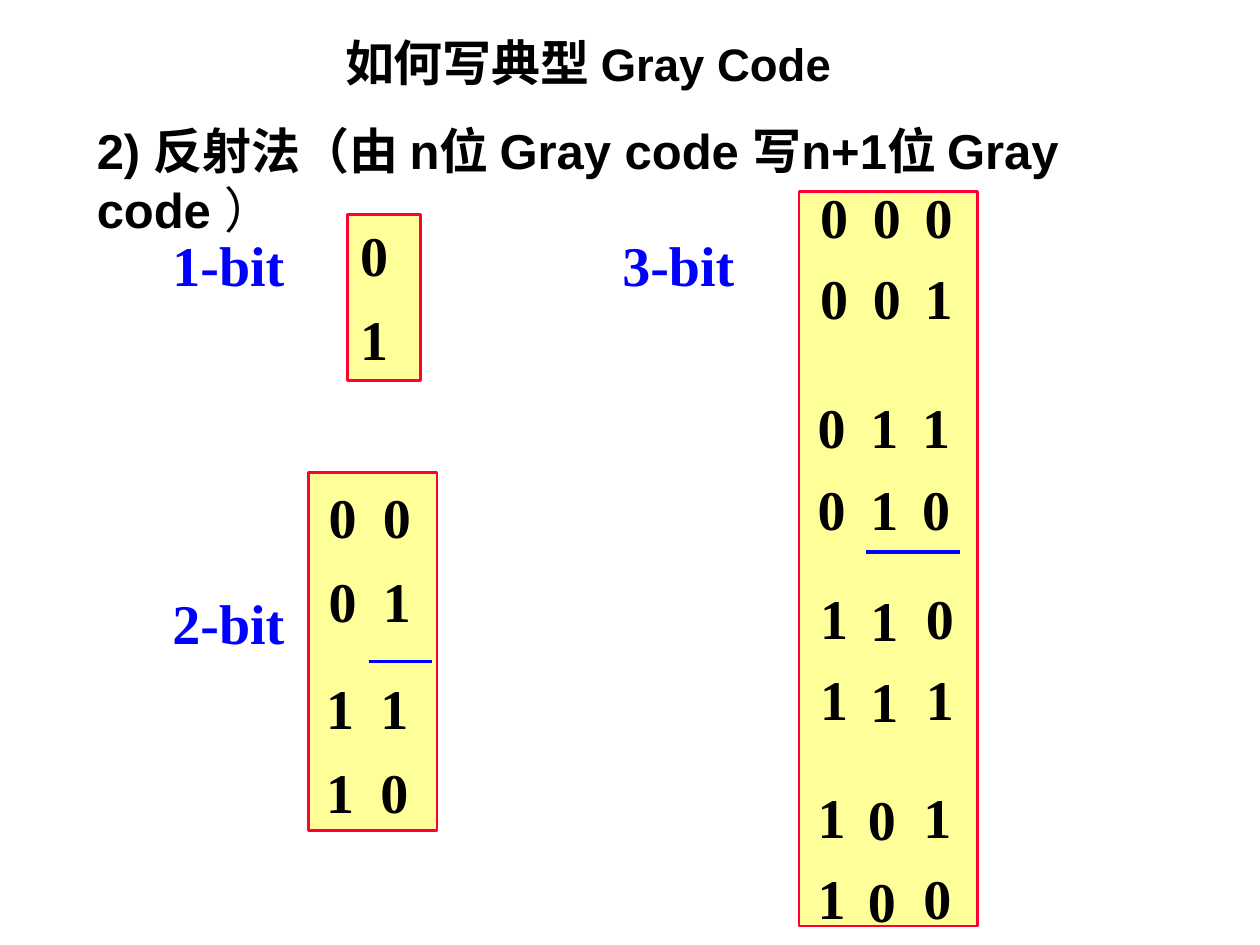
from dataclasses import dataclass

import pptx
import pptx.dml.color
import pptx.enum.shapes
import pptx.enum.text
import pptx.oxml.ns
import pptx.util
from pptx.util import Inches


@dataclass(frozen=True)
class Theme:
    ink: str = "000000"
    blue: str = "0000FF"
    fill: str = "FFFF99"
    edge: str = "FF0033"
    serif: str = "Times New Roman"
    sans: str = "Arial"
    digit: float = 32
    head: float = 28
    latin: float = 26
    frame: float = 1.5
    rule: float = 2.25


@dataclass(frozen=True)
class Box:
    left: float
    top: float
    width: float
    height: float

    def place(self) -> tuple:
        return tuple(Inches(v) for v in (self.left, self.top, self.width, self.height))


@dataclass(frozen=True)
class Label:
    text: str
    box: Box


@dataclass(frozen=True)
class Code:
    frame: Box
    cols: tuple[float, ...]
    rows: tuple[float, ...]
    nudge: tuple[tuple[float, float], ...]
    gap: float
    rule: tuple[float, float, float]


THEME = Theme()
STEP = 0.02
CELL = (0.58, 1.3)

LABELS = (
    Label("1-bit", Box(1.27, 1.78, 1.42, 0.63)),
    Label("2-bit", Box(1.27, 4.62, 1.42, 0.63)),
    Label("3-bit", Box(4.84, 1.78, 1.42, 0.63)),
)
CODES = (
    Code(Box(2.45, 3.75, 1.02, 2.84), (2.51, 2.94), (3.78, 5.3),
         ((0, 0), (0, 0)), 9.5, (2.93, 3.43, 5.25)),
    Code(Box(6.34, 1.52, 1.42, 5.83), (6.41, 6.83, 7.24), (1.4, 3.07, 4.58, 6.16),
         ((0, 0), (-0.02, 0.02), (0.01, 0)), 8, (6.87, 7.62, 4.38)),
)


def color(code: str) -> pptx.dml.color.RGBColor:
    return pptx.dml.color.RGBColor.from_string(code)


def style(font, face: str, size: float, ink: str, bold: bool = True) -> None:
    font.name = face
    font.size = pptx.util.Pt(size)
    font.bold = bold
    font.color.rgb = color(ink)


def write(shape, text: str, ink: str, gap: float = 0) -> None:
    frame = shape.text_frame
    frame.word_wrap = True
    frame.vertical_anchor = pptx.enum.text.MSO_ANCHOR.TOP
    frame.text = text
    for index, para in enumerate(frame.paragraphs):
        para.alignment = pptx.enum.text.PP_ALIGN.LEFT
        if index:
            para.space_before = pptx.util.Pt(gap)
        for run in para.runs:
            style(run.font, THEME.serif, THEME.digit, ink)


def panel(slide, box: Box):
    shape = slide.shapes.add_shape(pptx.enum.shapes.MSO_SHAPE.RECTANGLE, *box.place())
    shape.shadow.inherit = False
    shape.fill.solid()
    shape.fill.fore_color.rgb = color(THEME.fill)
    shape.line.color.rgb = color(THEME.edge)
    shape.line.width = pptx.util.Pt(THEME.frame)
    return shape


def rule(slide, start: float, end: float, top: float) -> None:
    line = slide.shapes.add_connector(
        pptx.enum.shapes.MSO_CONNECTOR.STRAIGHT,
        Inches(start), Inches(top), Inches(end), Inches(top))
    line.line.color.rgb = color(THEME.blue)
    line.line.width = pptx.util.Pt(THEME.rule)
    props = line._element.spPr
    props.append(props.makeelement(pptx.oxml.ns.qn("a:effectLst"), {}))


def gray(bits: int) -> list[str]:
    return [format(n ^ n >> 1, f"0{bits}b") for n in range(2 ** bits)]


def draw(slide, code: Code) -> None:
    panel(slide, code.frame)
    words = gray(len(code.cols))
    half = len(code.rows) // 2
    for row, top in enumerate(code.rows):
        pair = words[2 * row:2 * row + 2]
        for col, left in enumerate(code.cols):
            right, down = code.nudge[col] if row >= half else (0, 0)
            box = Box(left + right - STEP * (row % 2), top + down, *CELL)
            cell = slide.shapes.add_textbox(*box.place())
            write(cell, "\n".join(word[col] for word in pair), THEME.ink, code.gap)
    rule(slide, *code.rule)


def head(slide, box: Box, parts: tuple[tuple[str, float, bool], ...]) -> None:
    frame = slide.shapes.add_textbox(*box.place()).text_frame
    frame.word_wrap = True
    for text, size, bold in parts:
        run = frame.paragraphs[0].add_run()
        run.text = text
        style(run.font, THEME.sans, size, THEME.ink, bold)


def main() -> None:
    deck = pptx.Presentation()
    deck.slide_width, deck.slide_height = Inches(10), Inches(7.5)
    slide = deck.slides.add_slide(deck.slide_layouts[6])
    for code in CODES:
        draw(slide, code)
    for label in LABELS:
        write(slide.shapes.add_textbox(*label.box.place()), label.text, THEME.blue)
    write(panel(slide, Box(2.76, 1.7, 0.58, 1.32)), "\n".join(gray(1)), THEME.ink, 9.5)
    head(slide, Box(0.67, 0.91, 9.06, 0.57), (
        ("2) 反射法（由 n位 Gray code 写n+1位 Gray code ", THEME.head, True),
        ("）", THEME.head, False)))
    head(slide, Box(2.64, 0.21, 4.88, 0.57), (
        ("如何写典型 ", THEME.head, True),
        ("Gray Code", THEME.latin, True)))
    deck.save("out.pptx")


if __name__ == "__main__":
    main()
